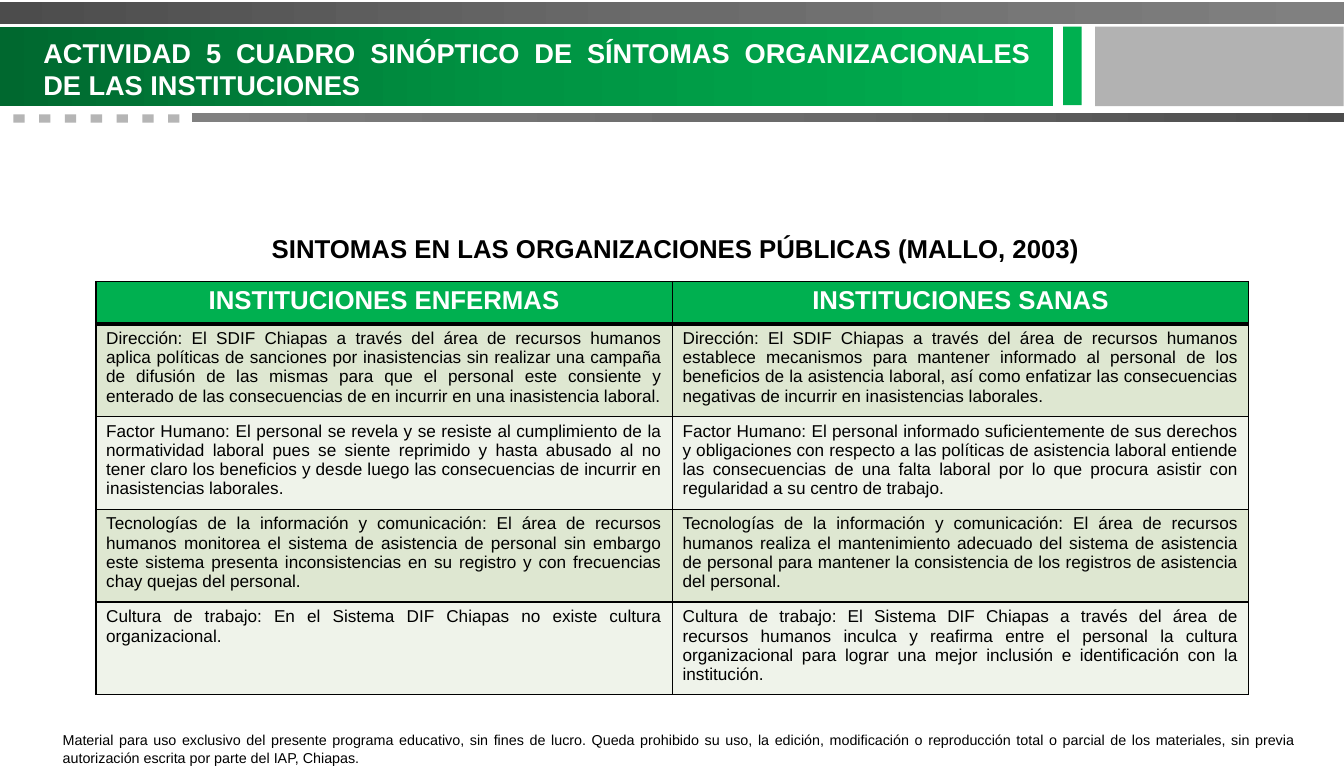
from pptx import Presentation
from pptx.dml.color import RGBColor
from pptx.enum.shapes import MSO_SHAPE
from pptx.enum.text import MSO_ANCHOR, MSO_AUTO_SIZE, PP_ALIGN
from pptx.oxml import parse_xml
from pptx.oxml.ns import nsdecls, qn
from pptx.util import Emu, Pt

PX = 9144  # 100 px to the inch
SLIDE_WIDTH, SLIDE_HEIGHT = Emu(11917363), Emu(6858000)
RECTANGLE = MSO_SHAPE.RECTANGLE
TOP = MSO_ANCHOR.TOP
NO_AUTOFIT = MSO_AUTO_SIZE.NONE
CENTER, JUSTIFY = PP_ALIGN.CENTER, PP_ALIGN.JUSTIFY

FONT = "Arial"
GREEN, BLACK, WHITE = "00B050", "000000", "FFFFFF"
GREENS = ("00682F", "009443", GREEN)
GRAYS = ("4C4C4C", "6B6B6B", "808080")
BANDS = ("DEE7D1", "EFF3EA")

TITLE = "ACTIVIDAD 5 CUADRO SINÓPTICO DE SÍNTOMAS ORGANIZACIONALES DE LAS INSTITUCIONES"
SUBTITLE = "SINTOMAS EN LAS ORGANIZACIONES PÚBLICAS (MALLO, 2003)"
NOTICE = (
    "Material para uso exclusivo del presente programa educativo, sin fines de lucro. "
    "Queda prohibido su uso, la edición, modificación o reproducción total o parcial de "
    "los materiales, sin previa autorización escrita por parte del IAP, Chiapas."
)
SYMPTOMS = [
    ("INSTITUCIONES ENFERMAS", "INSTITUCIONES SANAS"),
    (
        "Dirección: El SDIF Chiapas a través del área de recursos humanos aplica políticas "
        "de sanciones por inasistencias sin realizar una campaña de difusión de las mismas "
        "para que el personal este consiente y enterado de las consecuencias de en incurrir "
        "en una inasistencia laboral.",
        "Dirección: El SDIF Chiapas a través del área de recursos humanos establece "
        "mecanismos para mantener informado al personal de los beneficios de la asistencia "
        "laboral, así como enfatizar las consecuencias negativas de incurrir en "
        "inasistencias laborales.",
    ),
    (
        "Factor Humano: El personal se revela y se resiste al cumplimiento de la "
        "normatividad laboral pues se siente reprimido y hasta abusado al no tener claro "
        "los beneficios y desde luego las consecuencias de incurrir en inasistencias "
        "laborales.",
        "Factor Humano: El personal informado suficientemente de sus derechos y "
        "obligaciones con respecto a las políticas de asistencia laboral entiende las "
        "consecuencias de una falta laboral por lo que procura asistir con regularidad a "
        "su centro de trabajo.",
    ),
    (
        "Tecnologías de la información y comunicación: El área de recursos humanos "
        "monitorea el sistema de asistencia de personal sin embargo este sistema presenta "
        "inconsistencias en su registro y con frecuencias chay quejas del personal.",
        "Tecnologías de la información y comunicación: El área de recursos humanos realiza "
        "el mantenimiento adecuado del sistema de asistencia de personal para mantener la "
        "consistencia de los registros de asistencia del personal.",
    ),
    (
        "Cultura de trabajo: En el Sistema DIF Chiapas no existe cultura organizacional.",
        "Cultura de trabajo: El Sistema DIF Chiapas a través del área de recursos humanos "
        "inculca y reafirma entre el personal la cultura organizacional para lograr una "
        "mejor inclusión e identificación con la institución.",
    ),
]


def color(value):
    return RGBColor.from_string(value)


def emu(*lengths):
    return [length * PX for length in lengths]


def write(frame, text, *, size, fill=BLACK, bold=False, align=JUSTIFY):
    frame.word_wrap = True
    paragraph = frame.paragraphs[0]
    paragraph.text = text
    paragraph.alignment = align
    font = paragraph.runs[0].font
    font.name, font.size, font.bold = FONT, Pt(size), bold
    font.color.rgb = color(fill)


def add_text(slide, box, text, **text_format):
    write(slide.shapes.add_textbox(*emu(*box)).text_frame, text, **text_format)


def add_bar(slide, box, *fills):
    """One fill gives a plain bar, three give a gradient from left to right."""
    shape = slide.shapes.add_shape(RECTANGLE, *emu(*box))
    shape.shadow.inherit = False
    shape.line.fill.background()
    if len(fills) == 1:
        shape.fill.solid()
        shape.fill.fore_color.rgb = color(fills[0])
        return
    stops = "".join(
        f'<a:gs pos="{index * 50000}"><a:srgbClr val="{fill}"/></a:gs>'
        for index, fill in enumerate(fills)
    )
    gradient = parse_xml(
        f'<a:gradFill {nsdecls("a")} rotWithShape="1"><a:gsLst>{stops}</a:gsLst>'
        '<a:lin ang="0" scaled="0"/></a:gradFill>'
    )
    shape._element.spPr.find(qn("a:prstGeom")).addnext(gradient)


def add_banner(slide, left, top, width):
    # Top strip and title band
    add_bar(slide, (left, top + 2, width, 21), *GRAYS)
    add_bar(slide, (left, top + 26, 1021, 77), *GREENS)
    add_bar(slide, (left + 1031, top + 26, 18, 76), GREEN)
    add_bar(slide, (left + 1062, top + 26, width - 1062, 77), "B2B2B2")
    # Row of squares and the rule after it
    for index in range(7):
        add_bar(slide, (left + 13 + index * 25, top + 111, 11, 8), "B5B5B5")
    add_bar(slide, (left + 186, top + 110, width - 186, 8), *reversed(GRAYS))


def place_title(slide, box):
    title = slide.shapes.title
    title.left, title.top, title.width, title.height = emu(*box)
    frame = title.text_frame
    frame.auto_size = NO_AUTOFIT
    frame.vertical_anchor = TOP
    write(frame, TITLE, size=19, fill=WHITE, bold=True)


def set_borders(cell, **widths):
    properties = cell._tc.get_or_add_tcPr()
    for index, side in enumerate("LRTB"):
        width = Pt(widths.get(side, 1))
        properties.insert(index, parse_xml(
            f'<a:ln{side} {nsdecls("a")} w="{width}"><a:solidFill>'
            f'<a:srgbClr val="{BLACK}"/></a:solidFill></a:ln{side}>'
        ))


def add_symptom_table(slide, left, top, width, header_height, row_height):
    rows, columns = len(SYMPTOMS), len(SYMPTOMS[0])
    height = header_height + (rows - 1) * row_height
    table = slide.shapes.add_table(rows, columns, *emu(left, top, width, height)).table
    for column in table.columns:
        column.width = width * PX // columns
    for row, texts in enumerate(SYMPTOMS):
        header = row == 0
        table.rows[row].height = (header_height if header else row_height) * PX
        for column, text in enumerate(texts):
            cell = table.cell(row, column)
            cell.fill.solid()
            cell.fill.fore_color.rgb = color(GREEN if header else BANDS[(row - 1) % 2])
            if header:
                set_borders(cell, B=3)
                write(cell.text_frame, text, size=18, fill=WHITE, bold=True, align=CENTER)
            else:
                set_borders(cell, T=3 if row == 1 else 1)
                write(cell.text_frame, text, size=12)


def main():
    presentation = Presentation()
    presentation.slide_width, presentation.slide_height = SLIDE_WIDTH, SLIDE_HEIGHT
    slide = presentation.slides.add_slide(presentation.slide_layouts[5])

    add_banner(slide, 0, 0, 1303)
    # Bring the title in front of its band
    slide.shapes._spTree.append(slide.shapes.title._element)
    place_title(slide, (32, 30, 977, 74))
    add_text(slide, (115, 221, 1080, 40), SUBTITLE, size=18, bold=True, align=CENTER)
    add_symptom_table(slide, 93, 273, 1118, header_height=41, row_height=90)
    add_text(slide, (51, 705, 1213, 44), NOTICE, size=10)

    presentation.save("out.pptx")


if __name__ == "__main__":
    main()
